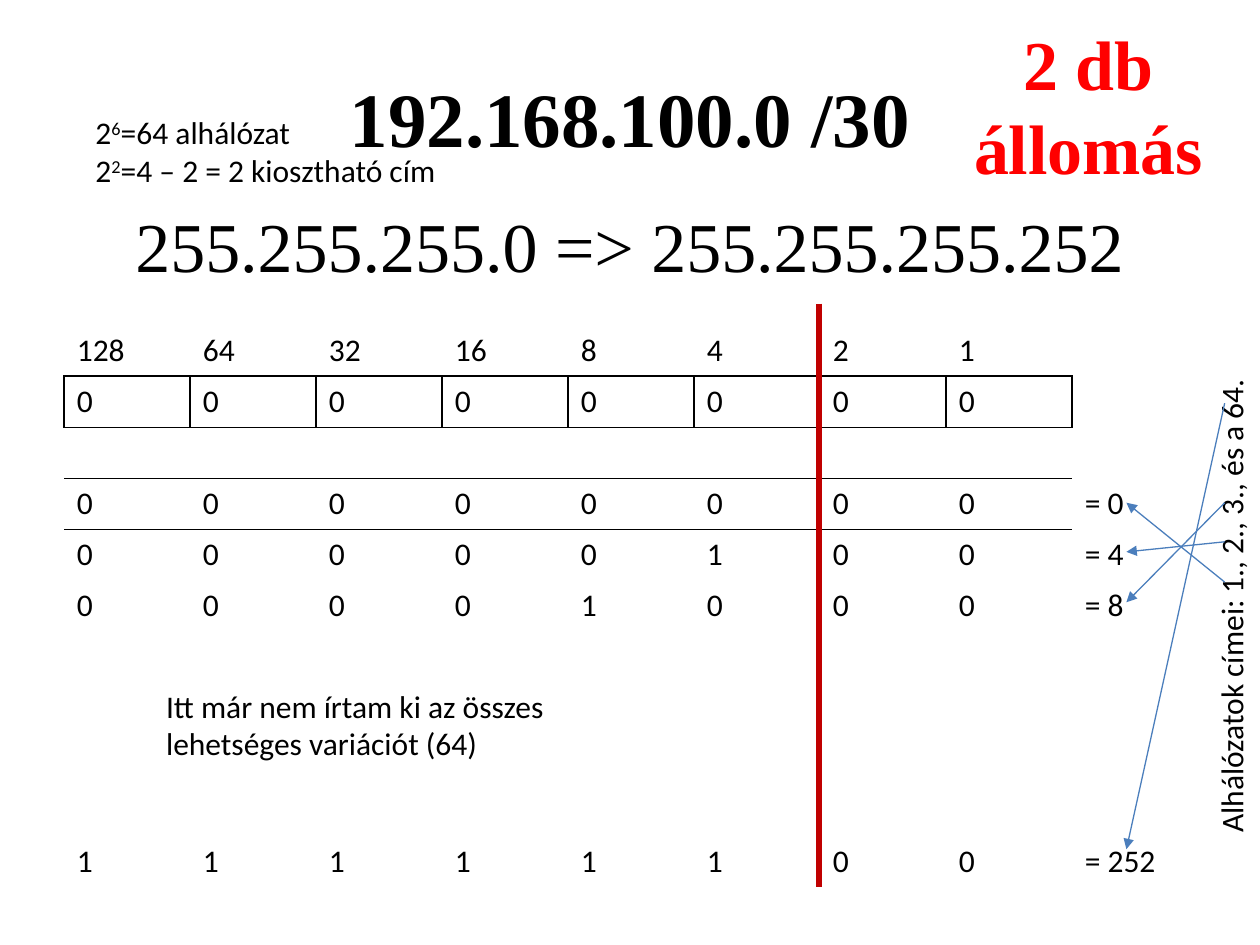
from dataclasses import dataclass, field

from lxml import etree
from pptx import Presentation
from pptx import util as u
from pptx.dml.color import RGBColor
from pptx.enum import shapes, text
from pptx.oxml.ns import qn

BLACK, RED, DARK_RED, BLUE = "000000", "FF0000", "C00000", "4B7EBC"
SERIF, SANS = "Times New Roman", "Calibri"
NO_STYLE = "{2D5ABB26-0587-4C30-8999-92F81FD0307C}"
BITS = 8
ROWS = 11
TABLE_LEFT, TABLE_TOP, TABLE_HEIGHT = 0.51, 2.58, 4.46
BODY = {"name": SANS, "size": u.Pt(18)}
MASK = {"name": SERIF, "size": u.Pt(40)}
HEADING = {"name": SERIF, "size": u.Pt(44), "bold": True}


@dataclass
class Label:
    box: tuple[float, float, float, float]
    paragraphs: list[list[str]]
    font: dict = field(default_factory=lambda: BODY)
    color: str = BLACK
    centered: bool = False
    vertical: bool = False


@dataclass
class Line:
    start: tuple[float, float]
    end: tuple[float, float]
    color: str = BLUE
    width: float = 0.75
    arrow: bool = True


LABELS = [
    Label((7.28, 0.11, 2.72, 1.45), [["2 db állomás"]], {**MASK, "bold": True}, RED, True),
    Label((0.43, 1.56, 9.13, 0.77), [["255.255.255.0 => 255.255.255.252"]], MASK, centered=True),
    Label((1.22, 5.4, 3.46, 0.71), [["Itt már nem írtam ki az összes lehetséges variációt (64)"]]),
    Label((9.57, TABLE_TOP, 0.5, TABLE_HEIGHT), [["Alhálózatok címei: 1., 2., 3., és a 64."]],
          centered=True, vertical=True),
    Label((0.66, 0.85, 4.33, 0.71),
          [["2", "6", "=64 alhálózat"], ["2", "2", "=4 – 2 = 2 kiosztható cím"]]),
]
DIVIDER = Line((6.5, 2.41), (6.5, 7.04), DARK_RED, 3, False)
ARROWS = [Line((9.72, y1), (8.94, y2))
          for y1, y2 in [(4.62, 3.99), (4.3, 4.38), (3.99, 4.78), (3.2, 6.74)]]
SUBNET_ROWS = {3: 0, 4: 4, 5: 8, 10: 252}


def rgb(color: str) -> RGBColor:
    return RGBColor.from_string(color)


def format_run(r, font: dict, color: str = BLACK) -> None:
    for name, value in font.items():
        setattr(r.font, name, value)
    r.font.color.rgb = rgb(color)


def add_label(s, label: Label) -> None:
    sp = s.shapes.add_textbox(*map(u.Inches, label.box))
    tf = sp.text_frame
    tf.word_wrap = True
    tf.auto_size = text.MSO_AUTO_SIZE.SHAPE_TO_FIT_TEXT
    if label.vertical:
        sp.element.find(".//" + qn("a:bodyPr")).set("vert", "vert270")
    for i, runs in enumerate(label.paragraphs):
        p = tf.add_paragraph() if i else tf.paragraphs[0]
        p.alignment = text.PP_ALIGN.CENTER if label.centered else text.PP_ALIGN.LEFT
        for j, content in enumerate(runs):
            r = p.add_run()
            r.text = content
            format_run(r, label.font, label.color)
            if j == 1:
                r.font._element.set("baseline", "30000")


def add_line(s, line: Line) -> None:
    sp = s.shapes.add_connector(shapes.MSO_CONNECTOR.STRAIGHT,
                                *map(u.Inches, line.start + line.end))
    sp.line.color.rgb = rgb(line.color)
    sp.line.width = u.Pt(line.width)
    if line.arrow:
        etree.SubElement(sp.line._get_or_add_ln(), qn("a:tailEnd"), type="triangle")
    etree.SubElement(sp.element.spPr, qn("a:effectLst"))


def add_borders(cell, sides: str) -> None:
    tc_pr = cell._tc.get_or_add_tcPr()
    for i, side in enumerate(sides):
        ln = etree.Element(qn(f"a:ln{side}"), w=str(u.Pt(1)))
        fill = etree.SubElement(ln, qn("a:solidFill"))
        etree.SubElement(fill, qn("a:srgbClr"), val=BLACK)
        tc_pr.insert(i, ln)


def border_sides(row: int, col: int) -> str:
    if col == BITS:
        return "L" if row == 1 else ""
    return {0: "B", 1: "LRTB", 2: "TB", 3: "T"}.get(row, "")


def row_texts(row: int) -> list[str]:
    if row == 0:
        return [str(2 ** bit) for bit in reversed(range(BITS))] + [""]
    if row == 1:
        return ["0"] * BITS + [""]
    if row in SUBNET_ROWS:
        value = SUBNET_ROWS[row]
        return [*f"{value:08b}", f"= {value}"]
    return [""] * (BITS + 1)


def add_bit_table(s) -> None:
    frame = s.shapes.add_table(ROWS, BITS + 1, *map(
        u.Inches, (TABLE_LEFT, TABLE_TOP, BITS + 1, TABLE_HEIGHT)))
    frame.element.find(".//" + qn("a:tableStyleId")).text = NO_STYLE
    table = frame.table
    table.first_row = table.horz_banding = False
    for row in range(ROWS):
        for col, content in enumerate(row_texts(row)):
            cell = table.cell(row, col)
            cell.fill.background()
            add_borders(cell, border_sides(row, col))
            p = cell.text_frame.paragraphs[0]
            p.font.size = BODY["size"]
            if content:
                r = p.add_run()
                r.text = content
                format_run(r, BODY)


def add_title(s) -> None:
    sp = s.shapes.title
    box = {"left": 0.5, "top": 0.3, "width": 9, "height": 1.25}
    for name, value in box.items():
        setattr(sp, name, u.Inches(value))
    tf = sp.text_frame
    tf.vertical_anchor = text.MSO_ANCHOR.MIDDLE
    p = tf.paragraphs[0]
    p.alignment = text.PP_ALIGN.CENTER
    r = p.add_run()
    r.text = "192.168.100.0 /30"
    format_run(r, HEADING)


def main() -> None:
    prs = Presentation()
    prs.slide_width, prs.slide_height = u.Inches(10), u.Inches(7.5)
    s = prs.slides.add_slide(prs.slide_layouts.get_by_name("Title Only"))
    add_title(s)
    add_bit_table(s)
    add_line(s, DIVIDER)
    for label in LABELS[:-1]:
        add_label(s, label)
    for arrow in ARROWS:
        add_line(s, arrow)
    add_label(s, LABELS[-1])
    prs.save("out.pptx")


if __name__ == "__main__":
    main()
